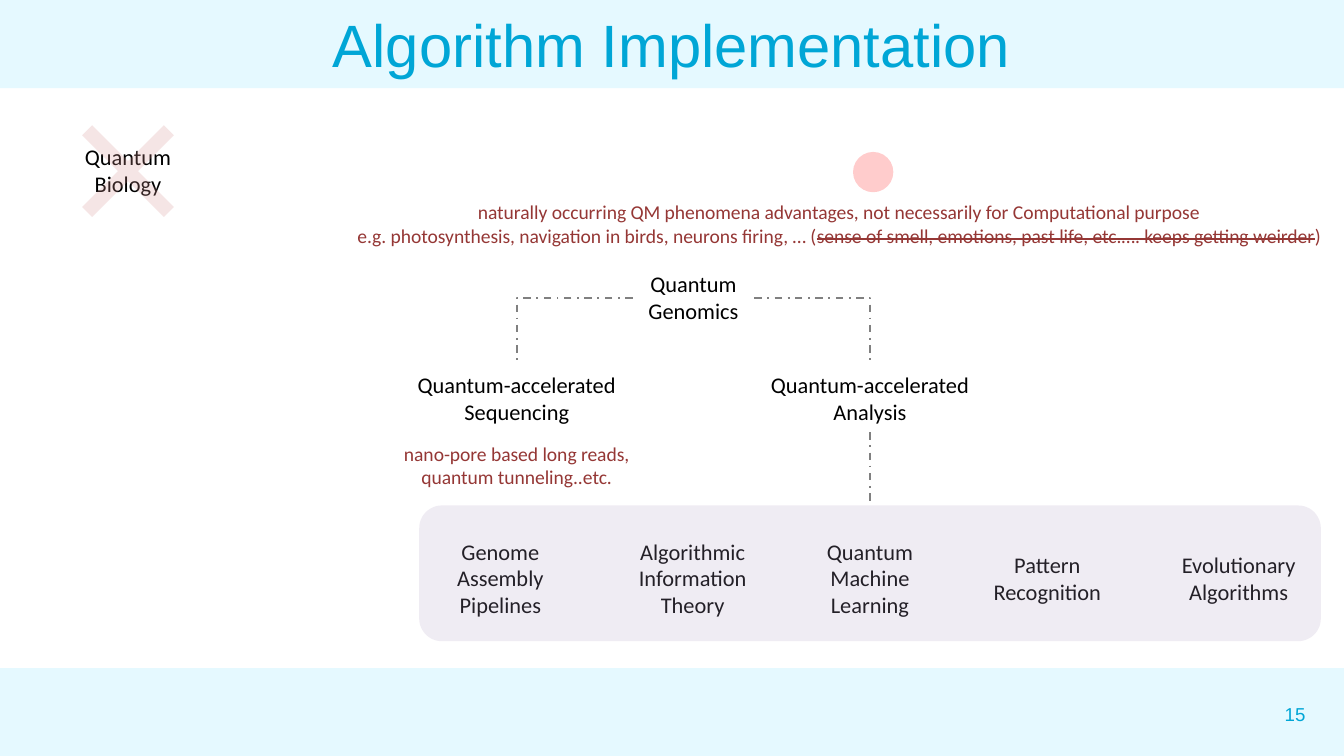
from copy import deepcopy
from dataclasses import dataclass

from lxml import etree
from pptx import Presentation
from pptx.dml.color import RGBColor
from pptx.enum.dml import MSO_LINE
from pptx.enum.shapes import MSO_CONNECTOR, MSO_SHAPE
from pptx.enum.text import MSO_ANCHOR, MSO_AUTO_SIZE, PP_ALIGN
from pptx.oxml.ns import qn
from pptx.util import Pt

RECT, OVAL = MSO_SHAPE.RECTANGLE, MSO_SHAPE.OVAL
ROUNDED, CROSS = MSO_SHAPE.ROUNDED_RECTANGLE, MSO_SHAPE.MATH_MULTIPLY
STRAIGHT, ELBOW = MSO_CONNECTOR.STRAIGHT, MSO_CONNECTOR.ELBOW
DASH_DOT = MSO_LINE.DASH_DOT
CENTER, RIGHT = PP_ALIGN.CENTER, PP_ALIGN.RIGHT
TOP, MIDDLE = MSO_ANCHOR.TOP, MSO_ANCHOR.MIDDLE
NO_FIT, GROW = MSO_AUTO_SIZE.NONE, MSO_AUTO_SIZE.SHAPE_TO_FIT_TEXT


@dataclass(frozen=True)
class Theme:
    band: str = "E5F9FF"
    accent: str = "00A6D6"
    ink: str = "000000"
    remark: str = "953735"
    cross: str = "D99694"
    dot: str = "FF0000"
    panel: str = "B3A2C7"
    link: str = "808080"
    heading_font: str = "Arial"
    body_font: str = "Calibri"
    title_size: float = 32
    topic_size: float = 12
    remark_size: float = 10.5
    number_size: float = 10


THEME = Theme()
HEADING = {"name": THEME.heading_font, "size": Pt(THEME.title_size), "color": THEME.accent}
NUMBER = {**HEADING, "size": Pt(THEME.number_size)}
TOPIC = {"name": THEME.body_font, "size": Pt(THEME.topic_size), "color": THEME.ink}
REMARK = {**TOPIC, "size": Pt(THEME.remark_size), "color": THEME.remark}

TOPIC_WIDTH = 124.6
TWO_LINES, THREE_LINES = 36.4, 51


def points(box):
    return [Pt(length) for length in box]


def format_run(run, style):
    for key, value in style.items():
        if key == "color":
            run.font.color.rgb = RGBColor.from_string(value)
        else:
            setattr(run.font, key, value)


def format_text(frame, style, align=CENTER, anchor=TOP, fit=GROW):
    settings = {"word_wrap": True, "auto_size": fit, "vertical_anchor": anchor}
    for key, value in settings.items():
        setattr(frame, key, value)
    for paragraph in frame.paragraphs:
        paragraph.alignment = align
        for run in paragraph.runs:
            format_run(run, style)
        for line_break in paragraph._p.findall(qn("a:br")):
            line_break.append(deepcopy(paragraph.runs[0]._r.rPr))


def add_text(slide, box, paragraphs, style, **layout):
    frame = slide.shapes.add_textbox(*points(box)).text_frame
    for index, wording in enumerate(paragraphs):
        paragraph = frame.add_paragraph() if index else frame.paragraphs[0]
        paragraph.text = wording
    format_text(frame, style, **layout)
    return frame


def add_topic(slide, center, top, wording, width=TOPIC_WIDTH):
    height = THREE_LINES if wording.count("\n") == 2 else TWO_LINES
    add_text(slide, (center - width / 2, top, width, height), [wording], TOPIC)


def add_block(slide, kind, box, color, opacity=100):
    block = slide.shapes.add_shape(kind, *points(box))
    block.shadow.inherit = False
    block.fill.solid()
    block.fill.fore_color.rgb = RGBColor.from_string(color)
    block.line.fill.background()
    if opacity < 100:
        tint = block._element.spPr.find(f".//{qn('a:srgbClr')}")
        etree.SubElement(tint, qn("a:alpha"), val=str(opacity * 1000))
    return block


def add_link(slide, kind, start, end):
    link = slide.shapes.add_connector(kind, *points(start + end))
    link.line.color.rgb = RGBColor.from_string(THEME.link)
    link.line.width = Pt(1)
    link.line.dash_style = DASH_DOT
    properties = link._element.spPr
    etree.SubElement(properties, qn("a:effectLst"))
    if kind == ELBOW:
        properties.find(qn("a:prstGeom")).set("prst", "bentConnector2")


def add_header(slide, box):
    add_block(slide, RECT, box, THEME.band)
    title = slide.shapes.title
    title.element.getparent().append(title.element)
    for side, length in zip(("left", "top", "width", "height"), points(box)):
        setattr(title, side, length)
    title.text_frame.text = "Algorithm Implementation"
    format_text(title.text_frame, HEADING, anchor=MIDDLE, fit=NO_FIT)


def add_footer(slide, box):
    left, top, width, height = box
    add_block(slide, RECT, box, THEME.band)
    add_text(slide, (left + width - 87.8, top + 13.7, 74.2, 21.6), ["15"], NUMBER,
             align=RIGHT, anchor=MIDDLE, fit=NO_FIT)


def add_biology(slide, box):
    left, top, width, height = box
    add_topic(slide, left + width / 2, top + 23.8, "Quantum\nBiology")
    cross = add_block(slide, CROSS, box, THEME.cross, 24)
    cross.adjustments[0] = 0.09


def add_phenomena(slide, box):
    left, top, width, height = box
    add_block(slide, OVAL, (left + 278, top, 21.6, 21.6), THEME.dot, 20)
    frame = add_text(slide, (left, top + 22.3, width, 32.4), [
        "naturally occurring QM phenomena advantages, not necessarily for Computational purpose",
        "e.g. photosynthesis, navigation in birds, neurons firing, … (",
    ], REMARK)
    for wording, strike in (
        ("sense of smell, emotions, past life, etc.…. keeps getting weirder", "sngStrike"),
        (")", "noStrike"),
    ):
        run = frame.paragraphs[1].add_run()
        run.text = wording
        format_run(run, REMARK)
        run.font._element.set("strike", strike)


def add_genomics_tree(slide, box):
    left, top, width, height = box
    root, spread = left + width / 2, 94.6
    root_half, branch_top = 32.6, top + 54
    add_topic(slide, root, top, "Quantum\nGenomics", 2 * root_half)
    for side, wording in ((-1, "Quantum-accelerated\nSequencing"),
                          (1, "Quantum-accelerated\nAnalysis")):
        branch = root + side * spread
        add_topic(slide, branch, branch_top, wording)
        add_link(slide, ELBOW, (root + side * root_half, top + 18.5), (branch, branch_top))
    analysis = root + spread
    add_link(slide, STRAIGHT, (analysis, branch_top + TWO_LINES), (analysis, top + height))
    add_text(slide, (root - spread - 72, top + 92, 144, 32.4),
             ["nano-pore based long reads,", "quantum tunneling..etc."], REMARK)


def add_analysis_fields(slide, box):
    left, top, width, height = box
    fields = {
        -198: "Genome\nAssembly\nPipelines",
        -95: "Algorithmic\nInformation\nTheory",
        0: "Quantum\nMachine\nLearning",
        95: "Pattern\nRecognition",
        197.5: "Evolutionary\nAlgorithms",
    }
    for offset, wording in fields.items():
        inset = 13.7 if wording.count("\n") == 2 else 20.9
        add_topic(slide, left + width / 2 + offset, top + inset, wording)
    add_block(slide, ROUNDED, box, THEME.panel, 20)


def main():
    deck = Presentation()
    deck.slide_width, deck.slide_height = Pt(720), Pt(405)
    slide = deck.slides.add_slide(deck.slide_layouts[5])
    add_footer(slide, (0, 358, 720, 47))
    add_biology(slide, (26.5, 49.6, 84.2, 84.2))
    add_phenomena(slide, (179, 81.4, 541, 54.7))
    add_genomics_tree(slide, (214.5, 141.2, 314, 129.6))
    add_analysis_fields(slide, (224.6, 270.8, 483, 72.7))
    add_header(slide, (0, 0, 720, 47.2))
    deck.save("out.pptx")


if __name__ == "__main__":
    main()
